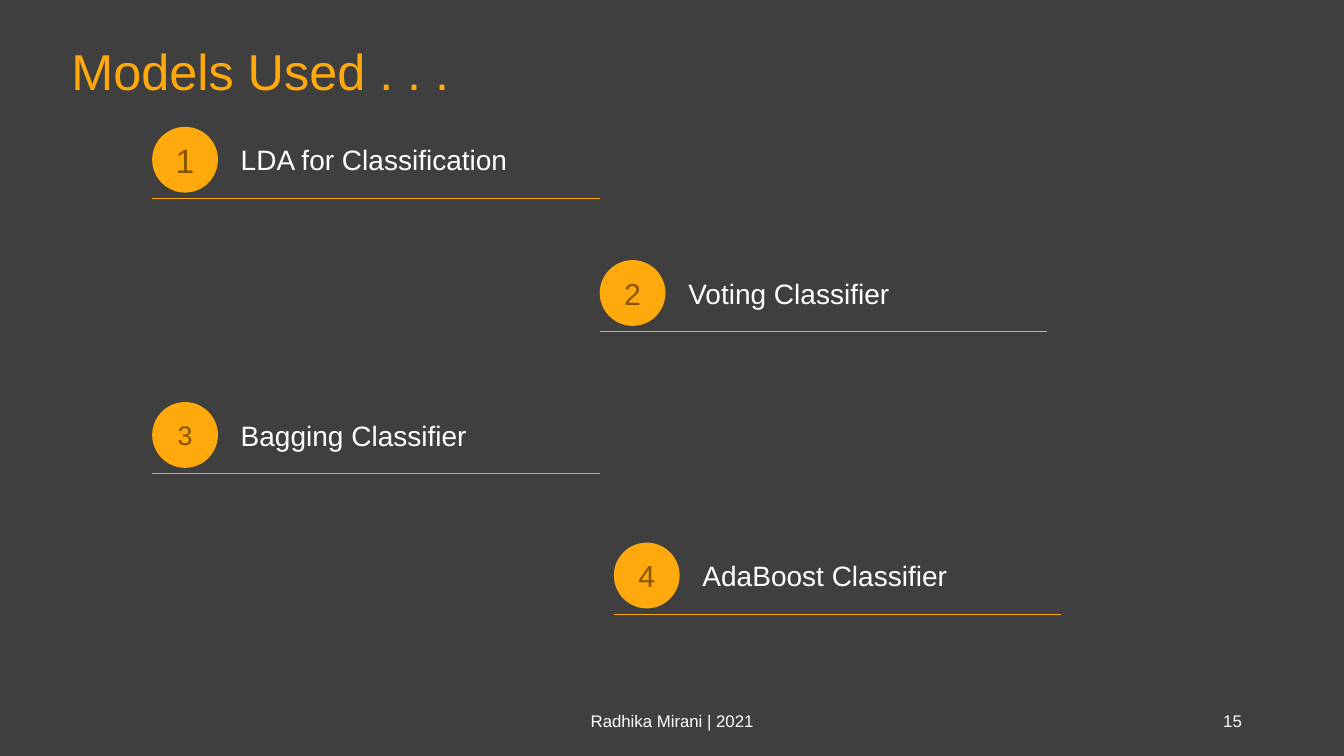
from lxml import etree
from pptx import Presentation
from pptx.dml.color import RGBColor
from pptx.enum.shapes import MSO_CONNECTOR, MSO_SHAPE
from pptx.enum.text import MSO_ANCHOR, PP_ALIGN
from pptx.oxml.ns import qn
from pptx.util import Pt

OVAL, LINE = MSO_SHAPE.OVAL, MSO_CONNECTOR.STRAIGHT
MIDDLE = MSO_ANCHOR.MIDDLE
LEFT, CENTER, RIGHT = PP_ALIGN.LEFT, PP_ALIGN.CENTER, PP_ALIGN.RIGHT

# Content
COLORS = {"back": "3F3F3F", "amber": "FFA90D", "brown": "865600", "white": "FFFFFF"}
FONT = "Arial"

# model, number size, left and top of its circle
MODELS = [
    ("LDA for Classification", 24, 108.7, 90.6),
    ("Voting Classifier", 21.6, 428.4, 185.8),
    ("Bagging Classifier", 19.2, 108.7, 287.2),
    ("AdaBoost Classifier", 21.6, 438.5, 387.6),
]

# text, box, size, color, alignment
TEXTS = [
    ("Models Used . . .", (43.9, 13, 715, 74.2), 36, "amber", LEFT),
    ("Radhika Mirani | 2021", (318.2, 500.4, 324, 28.8), 12, "white", CENTER),
    ("15", (678.2, 500.4, 216, 28.8), 12, "white", RIGHT),
]

# Sizes within one model entry
DISC = 47
LABEL_X, LABEL_Y, LABEL_W, LABEL_H = 56.2, -4.2, 263.5, 55.4
RULE_Y = LABEL_Y + LABEL_H
RULE_W = LABEL_X + LABEL_W

deck = Presentation()
deck.slide_width, deck.slide_height = Pt(960), Pt(540)
slide = deck.slides.add_slide(deck.slide_layouts[6])
shapes = slide.shapes


def color(name):
    return RGBColor.from_string(COLORS[name])


def write(shape, text, size, tint, align):
    frame = shape.text_frame
    frame.word_wrap = True
    frame.vertical_anchor = MIDDLE
    para = frame.paragraphs[0]
    para.text = text
    para.alignment = align
    para.font.name = FONT
    para.font.size = Pt(size)
    para.font.color.rgb = color(tint)


def add_text(text, box, size, tint, align):
    write(shapes.add_textbox(*map(Pt, box)), text, size, tint, align)


def add_disc(text, x, y, size):
    disc = shapes.add_shape(OVAL, Pt(x), Pt(y), Pt(DISC), Pt(DISC))
    disc.shadow.inherit = False
    disc.fill.solid()
    disc.fill.fore_color.rgb = color("amber")
    disc.line.fill.background()
    write(disc, text, size, "brown", CENTER)


def add_rule(x, y):
    rule = shapes.add_connector(LINE, Pt(x), Pt(y), Pt(x + RULE_W), Pt(y))
    rule.line.color.rgb = color("amber")
    rule.line.width = Pt(0.5)
    etree.SubElement(rule._element.spPr, qn("a:effectLst"))


# Background
slide.background.fill.solid()
slide.background.fill.fore_color.rgb = color("back")

# Title and footer
for item in TEXTS:
    add_text(*item)

# Numbered models
for num, (name, size, x, y) in enumerate(MODELS, 1):
    add_disc(str(num), x, y, size)
    add_text(name, (x + LABEL_X, y + LABEL_Y, LABEL_W, LABEL_H), 20, "white", LEFT)
    add_rule(x, y + RULE_Y)

deck.save("out.pptx")
